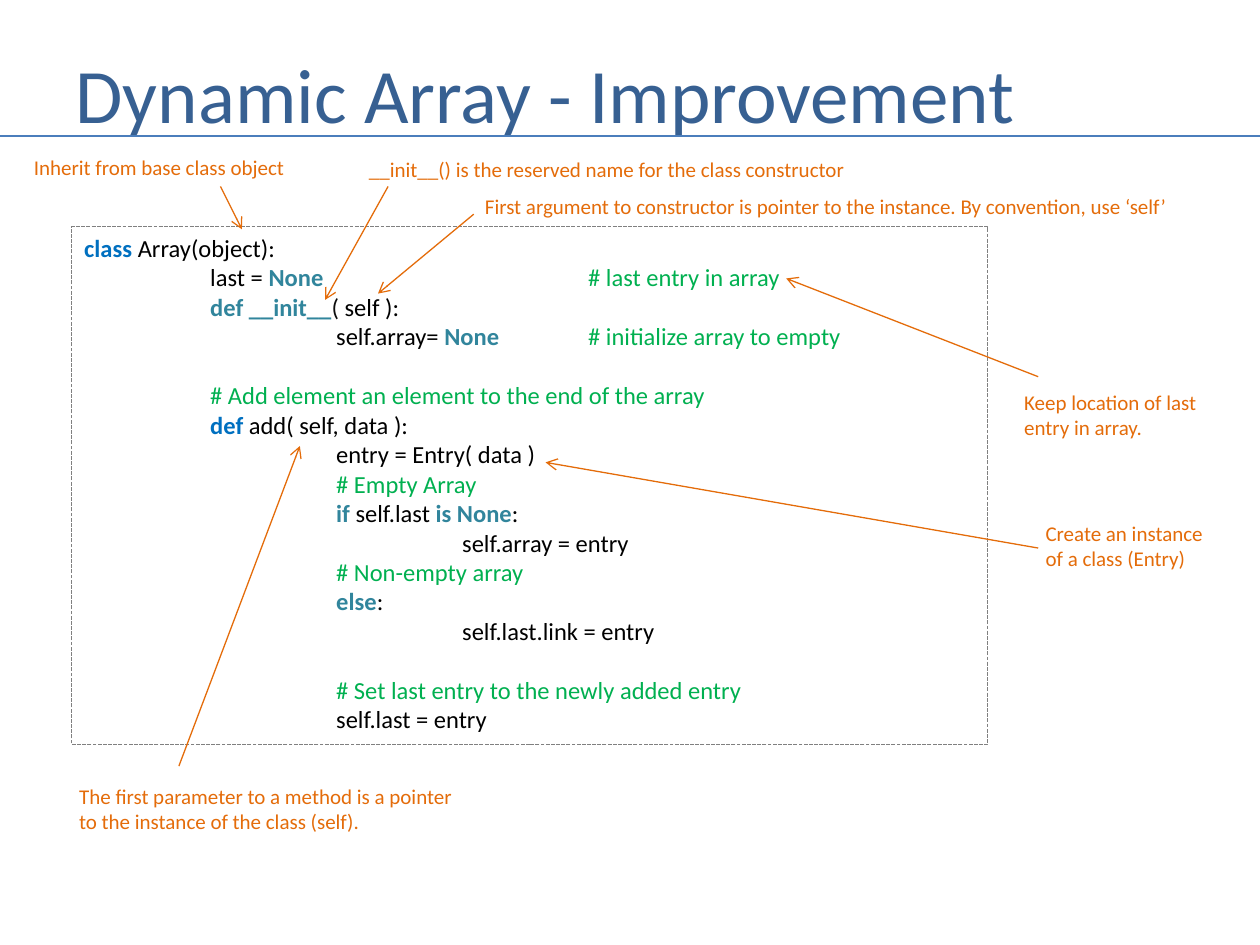
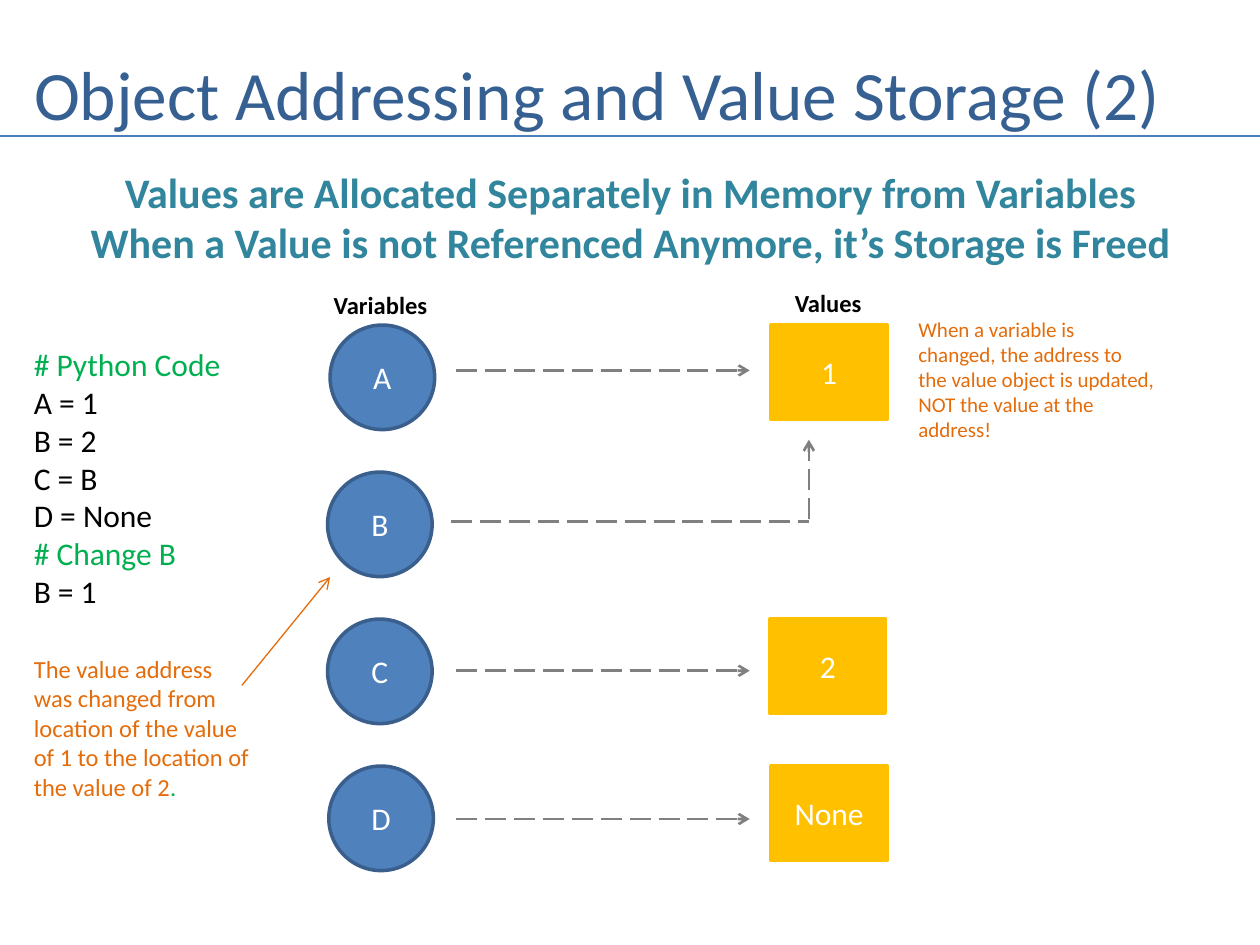
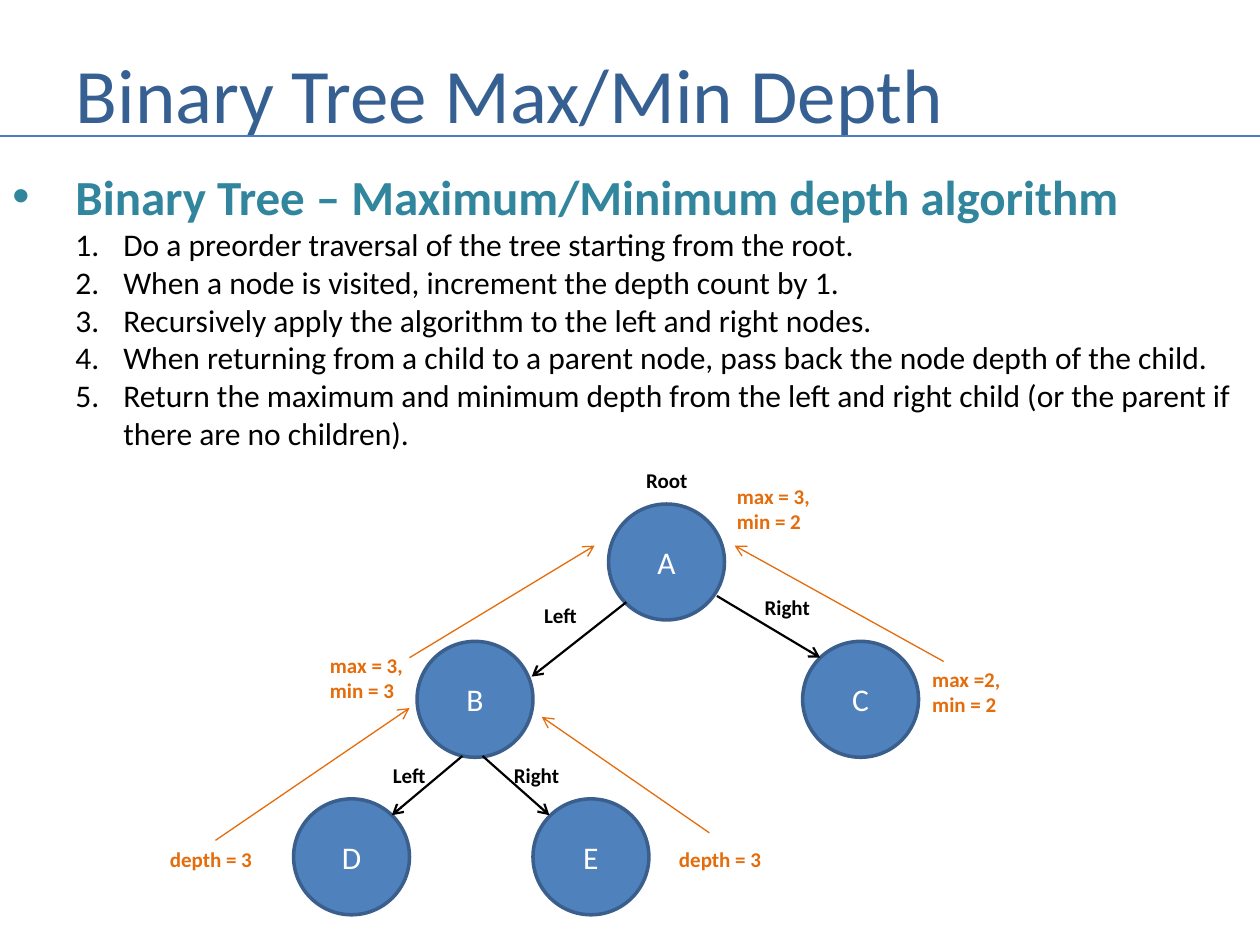
from lxml import etree
from pptx import Presentation
from pptx import util as u
from pptx.dml.color import RGBColor
from pptx.enum import dml, shapes, text
from pptx.oxml import ns

FONT = "Calibri"
COLORS = {
    "title": "376092",
    "rule": "4B7EBC",
    "teal": "31859C",
    "keyword": "0070C0",
    "comment": "00B050",
    "note": "E46C0A",
    "black": "000000",
    "near_black": "0D0D0D",
    "white": "FFFFFF",
    "gray": "808080",
    "node": "4F81BD",
    "node_edge": "3A5F8C",
    "value": "FFC000",
}


def color(name):
    return RGBColor.from_string(COLORS[name])


def add_element(parent, tag, **attributes):
    return etree.SubElement(parent, ns.qn(tag), attributes)


def style(span, size, name, bold=False):
    span.font.name = FONT
    span.font.size = u.Pt(size)
    span.font.bold = bold
    span.font.color.rgb = color(name)


def write(para, spans, size):
    for words, name, bold in spans:
        span = para.add_run()
        span.text = words
        style(span, size, name, bold)


def next_para(frame, index):
    return frame.add_paragraph() if index else frame.paragraphs[0]


def add_text(page, box, lines, size, name="black", bold=False, wrap=True, align=None):
    label = page.shapes.add_textbox(*map(u.Inches, box))
    frame = label.text_frame
    frame.word_wrap = wrap
    if not wrap:
        frame.auto_size = text.MSO_AUTO_SIZE.SHAPE_TO_FIT_TEXT
    for index, line in enumerate(lines):
        para = next_para(frame, index)
        para.alignment = align
        spans = [(line, name, bold)] if isinstance(line, str) else line
        write(para, spans, size)
    return label


def add_line(page, start, end, name, width, arrow=True, dash=None):
    line = page.shapes.add_connector(
        shapes.MSO_CONNECTOR.STRAIGHT, *map(u.Inches, (*start, *end)))
    line.line.color.rgb = color(name)
    line.line.width = u.Pt(width)
    if dash:
        line.line.dash_style = dash
    if arrow:
        add_element(line.get_or_add_ln(), "a:tailEnd", type="arrow")
    add_element(line.element.spPr, "a:effectLst")


def add_block(page, kind, box, caption, fill, edge):
    block = page.shapes.add_shape(kind, *map(u.Inches, box))
    block.shadow.inherit = False
    block.fill.solid()
    block.fill.fore_color.rgb = color(fill)
    block.line.color.rgb = color(edge)
    block.line.width = u.Pt(2)
    frame = block.text_frame
    frame.vertical_anchor = text.MSO_ANCHOR.MIDDLE
    para = frame.paragraphs[0]
    para.alignment = text.PP_ALIGN.CENTER
    write(para, [(caption, "white", False)], 18)


def add_node(page, left, top, size, caption):
    add_block(page, shapes.MSO_SHAPE.OVAL, (left, top, size, size),
              caption, "node", "node_edge")


def add_page(deck, title, box=(0.5, 0.3, 9.08, 0.87), size=44):
    page = deck.slides.add_slide(deck.slide_layouts[5])
    heading = page.shapes.title
    heading.left, heading.top, heading.width, heading.height = map(u.Inches, box)
    frame = heading.text_frame
    frame.text = title
    frame.auto_size = text.MSO_AUTO_SIZE.NONE
    frame.vertical_anchor = text.MSO_ANCHOR.MIDDLE
    frame.paragraphs[0].alignment = text.PP_ALIGN.LEFT
    style(frame.paragraphs[0].runs[0], size, "title")
    add_line(page, (0, 1.08), (10, 1.08), "rule", 1.5, arrow=False)
    return page


def plain(words):
    return words, "black", False


def comment(words):
    return words, "comment", False


def strong(words, name="teal"):
    return words, name, True


ARRAY_CODE = [
    [strong("class", "keyword"), plain(" Array(object):")],
    [plain("\tlast = "), strong("None\t\t\t"), comment("# last entry in array")],
    [plain("\t"), strong("def __init__"), ("( ", "near_black", False), plain("self ):")],
    [plain("\t\tself.array= "), strong("None\t"), comment("# initialize array to empty")],
    [],
    [plain("\t"), comment("# Add element an element to the end of the array")],
    [plain("\t"), strong("def", "keyword"), plain(" add( self, data ):")],
    [plain("\t\tentry = Entry( data )")],
    [plain("\t\t"), comment("# Empty Array")],
    [plain("\t\t"), strong("if "), plain("self.last "), strong("is None"), plain(":")],
    [plain("\t\t\tself.array = entry")],
    [plain("\t\t"), comment("# Non-empty array")],
    [plain("\t\t"), strong("else"), plain(":")],
    [plain("\t\t\tself.last.link = entry")],
    [],
    [plain("\t\t"), comment("# Set last entry to the newly added entry")],
    [plain("\t\tself.last = entry")],
]


def code_panel(page, box, code):
    size = 14
    panel = page.shapes.add_textbox(*map(u.Inches, box))
    panel.line.color.rgb = color("gray")
    panel.line.width = u.Pt(0.75)
    panel.line.dash_style = dml.MSO_LINE.SQUARE_DOT
    frame = panel.text_frame
    frame.word_wrap = True
    gap = False
    for index, spans in enumerate(code):
        if not spans:
            gap = True
            continue
        para = next_para(frame, index)
        if gap:
            para.space_before = u.Pt(17)
            gap = False
        stops = add_element(para._p.get_or_add_pPr(), "a:tabLst")
        for inch in range(1, 5):
            add_element(stops, "a:tab", pos=str(u.Inches(inch)), algn="l")
        write(para, spans, size)


def code_notes(page, left, top):
    notes = [
        (7.46, 1.24, 1.59, 0.5, ["Keep location of last", "entry in array."]),
        (-0.4, -0.62, 2.21, 0.3, ["Inherit from base class object"]),
        (2.26, -0.61, 3.98, 0.3,
         ["__init__() is the reserved name for the class constructor"]),
        (3.18, -0.31, 5.62, 0.3,
         ["First argument to constructor is pointer to the instance. "
          "By convention, use ‘self’"]),
        (-0.04, 4.37, 3.23, 0.5,
         ["The first parameter to a method is a pointer",
          "to the instance of the class (self)."]),
        (7.63, 2.28, 1.46, 0.5, ["Create an instance", "of a class (Entry)"]),
    ]
    for x, y, width, height, lines in notes:
        add_text(page, (left + x, top + y, width, height), lines, 12, "note", wrap=False)
    pointers = [
        (7.67, 1.19, 5.67, 0.41), (1.18, -0.32, 1.35, 0.02),
        (2.51, -0.32, 2.01, 0.58), (3.19, -0.1, 2.43, 0.53),
        (0.85, 4.28, 1.81, 1.74), (7.67, 2.55, 3.76, 1.87),
    ]
    add_pointers(page, left, top, pointers, "note", 0.75)


def add_pointers(page, left, top, pointers, name, width):
    for x1, y1, x2, y2 in pointers:
        add_line(page, (left + x1, top + y1), (left + x2, top + y2), name, width)


def memory_diagram(page, left, top):
    pitch = 3.5 / 3
    dash = dml.MSO_LINE.LONG_DASH
    add_text(page, (left - 0.05, top - 0.33, 0.95, 0.34), ["Variables"], 14,
             bold=True, wrap=False)
    add_text(page, (left + 3.61, top - 0.34, 0.73, 0.34), ["Values"], 14,
             bold=True, wrap=False)
    rows = [("A", 0.02, "1", 3.52, 0.36), ("B", 0, None, 0, 0),
            ("C", 0, "2", 3.51, 0.41), ("D", 0.01, "None", 3.52, 0.42)]
    for index, (variable, x, value, value_x, arrow_y) in enumerate(rows):
        row = top + index * pitch
        add_node(page, left + x, row, 0.83, variable)
        if value:
            add_block(page, shapes.MSO_SHAPE.RECTANGLE,
                      (left + value_x, row, 0.92, 0.75), value, "value", "value")
            add_line(page, (left + 1.02, row + arrow_y), (left + 3.35, row + arrow_y),
                     "gray", 1.5, dash=dash)
    turn = left + 3.82
    add_line(page, (left + 0.98, top + 1.56), (turn, top + 1.56), "gray", 1.5,
             arrow=False, dash=dash)
    add_line(page, (turn, top + 1.54), (turn, top + 0.91), "gray", 1.5, dash=dash)


def example_code(page, left, top):
    lines = [[comment("# Python Code")], "A = 1", "B = 2", "C = B", "D = None",
             [comment("# Change B")], "B = 1"]
    add_text(page, (left, top, 1.7, 2.22), lines, 18, wrap=False)
    explanation = [
        "The value address was changed from",
        [("location of the value of 1 to the location of the value of 2", "note", False),
         comment(".")],
    ]
    add_text(page, (left, top + 2.45, 1.92, 1.28), explanation, 14, "note")
    add_pointers(page, left, top, [(1.75, 2.75, 2.45, 1.89)], "note", 0.75)


def algorithm_steps(page, box, heading, steps):
    panel = add_text(page, box, [heading], 28, "teal", True)
    frame = panel.text_frame
    for step in steps:
        write(frame.add_paragraph(), [plain(step)], 18)
    for index, para in enumerate(frame.paragraphs):
        margin, hang = (0.88, 0.38) if index else (0.5, 0.5)
        para.level = min(index, 1)
        properties = para._p.get_or_add_pPr()
        properties.set("marL", str(u.Inches(margin)))
        properties.set("indent", str(-u.Inches(hang)))
        if index:
            add_element(properties, "a:buFont", typeface="+mj-lt")
            add_element(properties, "a:buAutoNum", type="arabicPeriod")
        else:
            add_element(properties, "a:buFont", typeface="Arial")
            add_element(properties, "a:buChar", char="•")


def depth_tree(page, left, top):
    nodes = [("A", 2.5, 0), ("B", 0.98, 1.09), ("C", 4.04, 1.09),
             ("D", 0, 2.34), ("E", 1.9, 2.34)]
    for caption, x, y in nodes:
        add_node(page, left + x, top + y, 0.92, caption)
    branches = [(2.64, 0.78, 1.89, 1.37), (1.34, 2, 0.78, 2.47),
                (1.5, 2, 2.03, 2.47), (3.36, 0.73, 4.18, 1.22)]
    add_pointers(page, left, top, branches, "black", 1.25)
    labels = [("Left", 1.89, 0.73, 0.47), ("Left", 0.69, 2, 0.47),
              ("Root", 2.7, -0.34, 0.53), ("Right", 3.64, 0.67, 0.57),
              ("Right", 1.65, 2, 0.57)]
    for caption, x, y, width in labels:
        add_text(page, (left + x, top + y, width, 0.3), [caption], 12,
                 bold=True, wrap=False)
    depths = [("depth = 3", -1.08, 2.67, 0.3), ("depth = 3", 2.96, 2.67, 0.3),
              ("max = 3, min = 3", 0.19, 1.13, 0.5),
              ("max =2, min = 2", 4.97, 1.24, 0.5),
              ("max = 3, min = 2", 3.42, -0.21, 0.5)]
    for caption, x, y, height in depths:
        add_text(page, (left + x, top + y, 0.92, height), [caption], 12, "note", True)
    returns = [(-0.62, 2.67, 0.92, 1.62), (3.3, 2.61, 1.97, 1.69),
               (0.92, 1.22, 2.39, 0.33), (5.16, 1.25, 3.5, 0.33)]
    add_pointers(page, left, top, returns, "note", 0.75)


def array_page(deck):
    page = add_page(deck, "Dynamic Array - Improvement")
    code_panel(page, (0.57, 1.8, 7.27, 4.11), ARRAY_CODE)
    code_notes(page, 0.57, 1.8)


def storage_page(deck):
    page = add_page(deck, "Object Addressing and Value Storage (2)",
                    (0.17, 0.3, 9.42, 0.87), 39.6)
    add_text(page, (0.01, 1.27, 9.99, 3.33),
             ["Values are Allocated Separately in Memory from Variables",
              "When a Value is not Referenced Anymore, it’s Storage is Freed"],
             24, "teal", True, align=text.PP_ALIGN.CENTER)
    memory_diagram(page, 2.6, 2.58)
    add_text(page, (7.19, 2.46, 2.08, 1.11),
             ["When a variable is changed, the address to the value object is updated,",
              "NOT the value at the address!"], 12, "note")
    example_code(page, 0.17, 2.69)


def tree_page(deck):
    page = add_page(deck, "Binary Tree Max/Min Depth")
    algorithm_steps(page, (0, 1.27, 9.99, 2.73),
                    "Binary Tree – Maximum/Minimum depth algorithm", [
        "Do a preorder traversal of the tree starting from the root.",
        "When a node is visited, increment the depth count by 1.",
        "Recursively apply the algorithm to the left and right nodes.",
        "When returning from a child to a parent node, pass back the node depth of the child.",
        "Return the maximum and minimum depth from the left and right child "
        "(or the parent if there are no children).",
    ])
    depth_tree(page, 2.33, 4)


def main():
    deck = Presentation()
    deck.slide_width = u.Inches(10)
    deck.slide_height = u.Inches(7.5)
    array_page(deck)
    storage_page(deck)
    tree_page(deck)
    deck.save("out.pptx")


if __name__ == "__main__":
    main()
